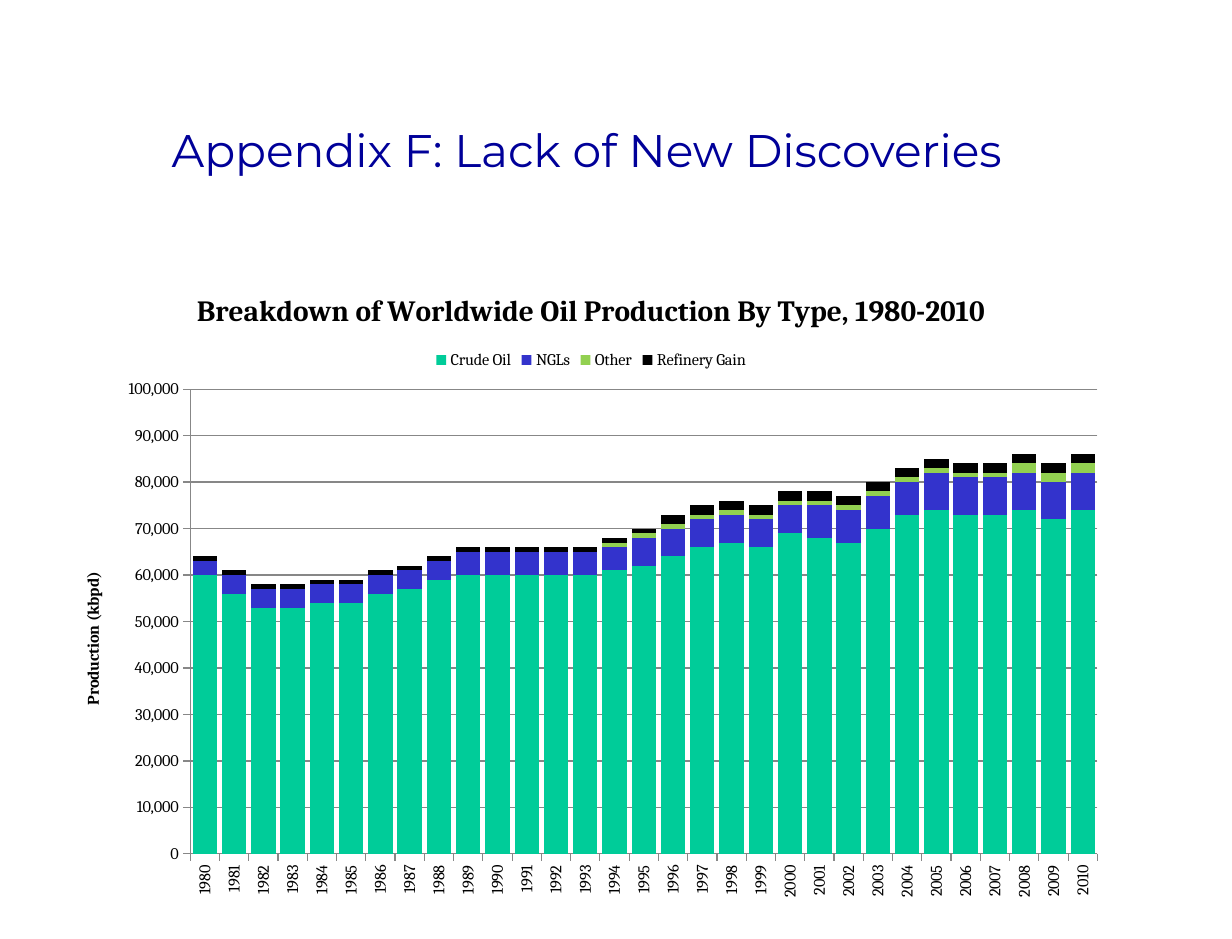
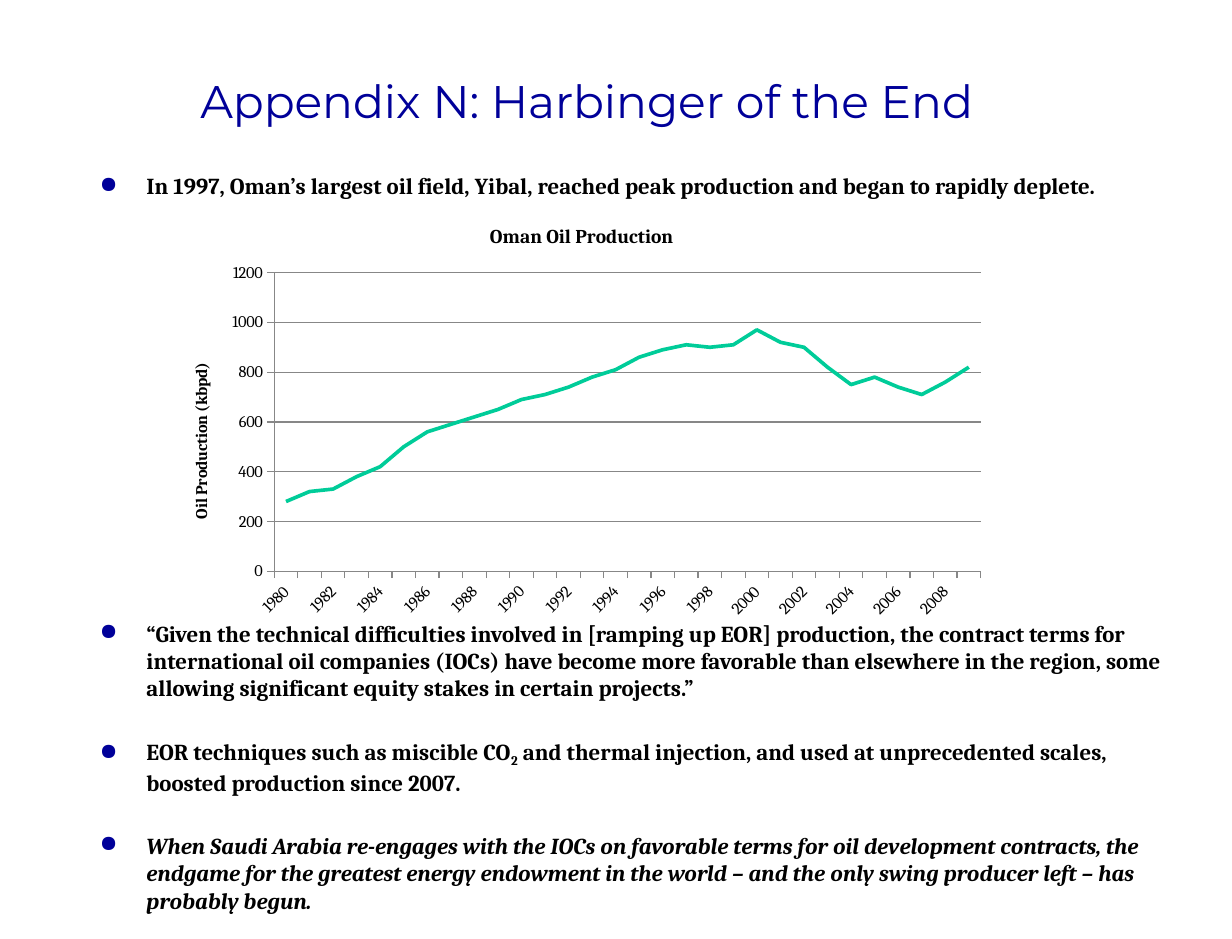
from dataclasses import dataclass
from typing import Optional

from lxml.etree import SubElement
from pptx import Presentation
from pptx.chart.axis import _BaseAxis
from pptx.chart.chart import Chart
from pptx.chart.data import CategoryChartData
from pptx.dml.color import RGBColor
from pptx.enum.chart import XL_CHART_TYPE, XL_LEGEND_POSITION, XL_TICK_MARK
from pptx.enum.text import MSO_ANCHOR, PP_ALIGN
from pptx.oxml import parse_xml
from pptx.oxml.ns import nsdecls, qn
from pptx.slide import Slide
from pptx.text.text import Font, TextFrame, _Paragraph
from pptx.util import Emu, Inches, Pt


@dataclass(frozen=True)
class Theme:
    heading_font: str = "Montserrat"
    body_font: str = "Cambria"
    navy: str = "000099"
    black: str = "000000"
    white: str = "FFFFFF"
    green: str = "00CC99"
    blue: str = "3333CC"
    lime: str = "92D050"
    gray: str = "878787"
    title_size: int = 28
    body_size: int = 14
    chart_size: int = 10


@dataclass(frozen=True)
class Box:
    """Place and size in columns and rows of the slide grid."""
    column: float
    row: float
    columns: float
    rows: float

    def lengths(self) -> tuple[Emu, ...]:
        cells = (self.column, self.row, self.columns, self.rows)
        return tuple(Emu(round(cell * CELL)) for cell in cells)


@dataclass(frozen=True)
class Run:
    text: str
    subscript: bool = False
    italic: bool = False


@dataclass(frozen=True)
class Bullet:
    runs: tuple[Run, ...]
    space_before: float


@dataclass(frozen=True)
class Series:
    name: str
    values: list[int]
    color: str


@dataclass(frozen=True)
class ChartPlan:
    kind: XL_CHART_TYPE
    box: Box
    title: str
    title_size: int
    value_title: str
    value_format: str
    value_top: int
    value_step: int
    first_year: int
    series: tuple[Series, ...]
    label_angle: int
    label_skip: int
    plot_area: tuple[float, float, float, float]  # shares of the chart: x, y, w, h


THEME = Theme()
SLIDE_WIDTH, SLIDE_HEIGHT = Inches(10.5), Inches(8)
CELL = SLIDE_WIDTH / 126  # 126 columns by 96 rows of square cells
TITLE_HEIGHT = 15

# Gaps between bullets, in points: one holds the chart
CHART_GAP, BULLET_GAP = 257.5, 22

WORLD_CHART = ChartPlan(
    XL_CHART_TYPE.COLUMN_STACKED, Box(6.5, 27.25, 107.9, 66),
    "Breakdown of Worldwide Oil Production By Type, 1980-2010", 18,
    "Production (kbpd)", "#,##0", 100000, 10000, 1980,
    (
        Series("Crude Oil", [thousand * 1000 for thousand in (
            60, 56, 53, 53, 54, 54, 56, 57, 59, 60, 60, 60, 60, 60, 61, 62,
            64, 66, 67, 66, 69, 68, 67, 70, 73, 74, 73, 73, 74, 72, 74)], THEME.green),
        Series("NGLs", [3000] + [4000] * 8 + [5000] * 6 + [6000] * 6
               + [7000] * 4 + [8000] * 6, THEME.blue),
        Series("Other", [0] * 14 + [1000] * 14 + [2000] * 3, THEME.lime),
        Series("Refinery Gain", [1000] * 16 + [2000] * 15, THEME.black),
    ),
    -90, 1, (0.12, 0.19, 0.86, 0.72),
)

OMAN_CHART = ChartPlan(
    XL_CHART_TYPE.LINE, Box(17, 21, 85, 43),
    "Oman Oil Production", 12, "Oil Production (kbpd)", "General", 1200, 200, 1980,
    (Series("Oman Oil Production", [
        280, 320, 330, 380, 420, 500, 560, 590, 620, 650, 690, 710, 740, 780, 810,
        860, 890, 910, 900, 910, 970, 920, 900, 820, 750, 780, 740, 710, 760, 820],
        THEME.green),),
    -45, 2, (0.13, 0.16, 0.85, 0.71),
)

OMAN_BULLETS = (
    Bullet((Run("In 1997, Oman’s largest oil field, Yibal, reached peak production "
                "and began to rapidly deplete."),), 0),
    Bullet((Run("“Given the technical difficulties involved in [ramping up EOR] production, "
                "the contract terms for international oil companies (IOCs) have become more "
                "favorable than elsewhere in the region, some allowing significant equity "
                "stakes in certain projects.”"),), CHART_GAP),
    Bullet((Run("EOR techniques such as miscible CO"), Run("2", subscript=True),
            Run(" and thermal injection, and used at unprecedented scales, "
                "boosted production since 2007.")), BULLET_GAP),
    Bullet((Run("When Saudi Arabia re-engages with the IOCs on favorable terms for oil "
                "development contracts, the endgame for the greatest energy endowment in the "
                "world – and the only swing producer left – has probably begun.",
                italic=True),), BULLET_GAP),
)


def color(value: str) -> RGBColor:
    return RGBColor.from_string(value)


def style_font(font: Font, size: float, bold: bool = False,
               name: str = THEME.body_font, fill: str = THEME.black) -> None:
    font.name, font.size, font.bold = name, Pt(size), bold
    font.color.rgb = color(fill)


def add_title(slide: Slide, text: str, row: float) -> None:
    shape = slide.shapes.add_textbox(*Box(9, row, 102, TITLE_HEIGHT).lengths())
    shape.fill.solid()
    shape.fill.fore_color.rgb = color(THEME.white)
    text_frame = shape.text_frame
    text_frame.word_wrap = True
    text_frame.vertical_anchor = MSO_ANCHOR.MIDDLE
    text_frame.text = text
    paragraph = text_frame.paragraphs[0]
    paragraph.alignment = PP_ALIGN.CENTER
    paragraph.line_spacing = 0.95
    style_font(paragraph.runs[0].font, THEME.title_size,
               name=THEME.heading_font, fill=THEME.navy)


def add_bullet_mark(paragraph: _Paragraph) -> None:
    properties = paragraph._p.get_or_add_pPr()
    properties.set("marL", str(Inches(0.4)))
    properties.set("indent", str(-Inches(0.4)))
    bullet_color = SubElement(properties, qn("a:buClr"))
    SubElement(bullet_color, qn("a:srgbClr"), val=THEME.navy)
    SubElement(properties, qn("a:buChar"), char="●")


def add_bullets(slide: Slide, box: Box, bullets: tuple[Bullet, ...]) -> None:
    text_frame = slide.shapes.add_textbox(*box.lengths()).text_frame
    text_frame.word_wrap = True
    for index, bullet in enumerate(bullets):
        paragraph = text_frame.add_paragraph() if index else text_frame.paragraphs[0]
        add_bullet_mark(paragraph)
        paragraph.space_before = Pt(bullet.space_before)
        for part in bullet.runs:
            run = paragraph.add_run()
            run.text = part.text
            style_font(run.font, THEME.body_size, bold=True)
            run.font.italic = part.italic
            if part.subscript:
                run.font._element.set("baseline", "-25000")


def set_heading(text_frame: TextFrame, text: str, size: float) -> None:
    text_frame.text = text
    style_font(text_frame.paragraphs[0].runs[0].font, size, bold=True)


def style_axis(axis: _BaseAxis, gridlines: bool) -> None:
    axis.major_tick_mark = XL_TICK_MARK.OUTSIDE
    axis.minor_tick_mark = XL_TICK_MARK.NONE
    axis.has_major_gridlines = gridlines
    lines = [axis.format.line]
    if gridlines:
        lines.append(axis.major_gridlines.format.line)
    for line in lines:
        line.color.rgb = color(THEME.gray)
        line.width = Pt(0.75)
    style_font(axis.tick_labels.font, THEME.chart_size)


def turn_labels(axis: _BaseAxis, angle: int, skip: int) -> None:
    element = axis._element
    body = element.find(qn("c:txPr")).find(qn("a:bodyPr"))
    body.set("rot", str(angle * 60000))
    body.set("vert", "horz")
    element.find(qn("c:noMultiLvlLbl")).addprevious(
        parse_xml(f'<c:tickLblSkip {nsdecls("c")} val="{skip}"/>'))


def place_plot_area(chart: Chart, shares: tuple[float, float, float, float]) -> None:
    plot_area = chart._chartSpace.chart.plotArea
    existing = plot_area.find(qn("c:layout"))
    if existing is not None:
        plot_area.remove(existing)
    sizes = "".join(f'<c:{key} val="{share}"/>' for key, share in zip("xywh", shares))
    plot_area.insert(0, parse_xml(
        f'<c:layout {nsdecls("c")}><c:manualLayout><c:layoutTarget val="inner"/>'
        f'<c:xMode val="edge"/><c:yMode val="edge"/>{sizes}</c:manualLayout></c:layout>'))


def add_chart(slide: Slide, plan: ChartPlan) -> None:
    # Data
    data = CategoryChartData()
    count = len(plan.series[0].values)
    data.categories = [str(plan.first_year + offset) for offset in range(count)]
    for series in plan.series:
        data.add_series(series.name, series.values)
    chart = slide.shapes.add_chart(plan.kind, *plan.box.lengths(), data).chart
    style_font(chart.font, THEME.chart_size)

    # Title and legend
    chart.has_title = True
    set_heading(chart.chart_title.text_frame, plan.title, plan.title_size)
    chart.chart_title.include_in_layout = False
    chart.has_legend = len(plan.series) > 1
    if chart.has_legend:
        chart.legend.position = XL_LEGEND_POSITION.TOP
        chart.legend.include_in_layout = False
        style_font(chart.legend.font, THEME.chart_size)

    # Axes
    style_axis(chart.category_axis, gridlines=False)
    turn_labels(chart.category_axis, plan.label_angle, plan.label_skip)
    value_axis = chart.value_axis
    style_axis(value_axis, gridlines=True)
    value_axis.minimum_scale, value_axis.maximum_scale = 0, plan.value_top
    value_axis.major_unit = plan.value_step
    value_axis.tick_labels.number_format = plan.value_format
    value_axis.tick_labels.number_format_is_linked = False
    set_heading(value_axis.axis_title.text_frame, plan.value_title, THEME.chart_size)

    # Series
    plot = chart.plots[0]
    plot.vary_by_categories = False
    is_line = plan.kind == XL_CHART_TYPE.LINE
    if not is_line:
        plot.gap_width, plot.overlap = 20, 100
    for drawn, series in zip(plot.series, plan.series):
        if is_line:
            drawn.smooth = False
            drawn.format.line.color.rgb = color(series.color)
            drawn.format.line.width = Pt(2.25)
        else:
            drawn.format.fill.solid()
            drawn.format.fill.fore_color.rgb = color(series.color)
    place_plot_area(chart, plan.plot_area)


def add_slide(presentation: Presentation, title: str, title_row: float, plan: ChartPlan,
              bullets: Optional[tuple[Bullet, ...]] = None) -> None:
    slide = presentation.slides.add_slide(presentation.slide_layouts[6])
    if bullets:
        add_bullets(slide, Box(9, 17, 112, 63), bullets)
    add_title(slide, title, title_row)
    add_chart(slide, plan)


def main() -> None:
    presentation = Presentation()
    presentation.slide_width, presentation.slide_height = SLIDE_WIDTH, SLIDE_HEIGHT
    add_slide(presentation, "Appendix F: Lack of New Discoveries", 8, WORLD_CHART)
    add_slide(presentation, "Appendix N: Harbinger of the End", 3, OMAN_CHART, OMAN_BULLETS)
    presentation.save("out.pptx")


if __name__ == "__main__":
    main()
